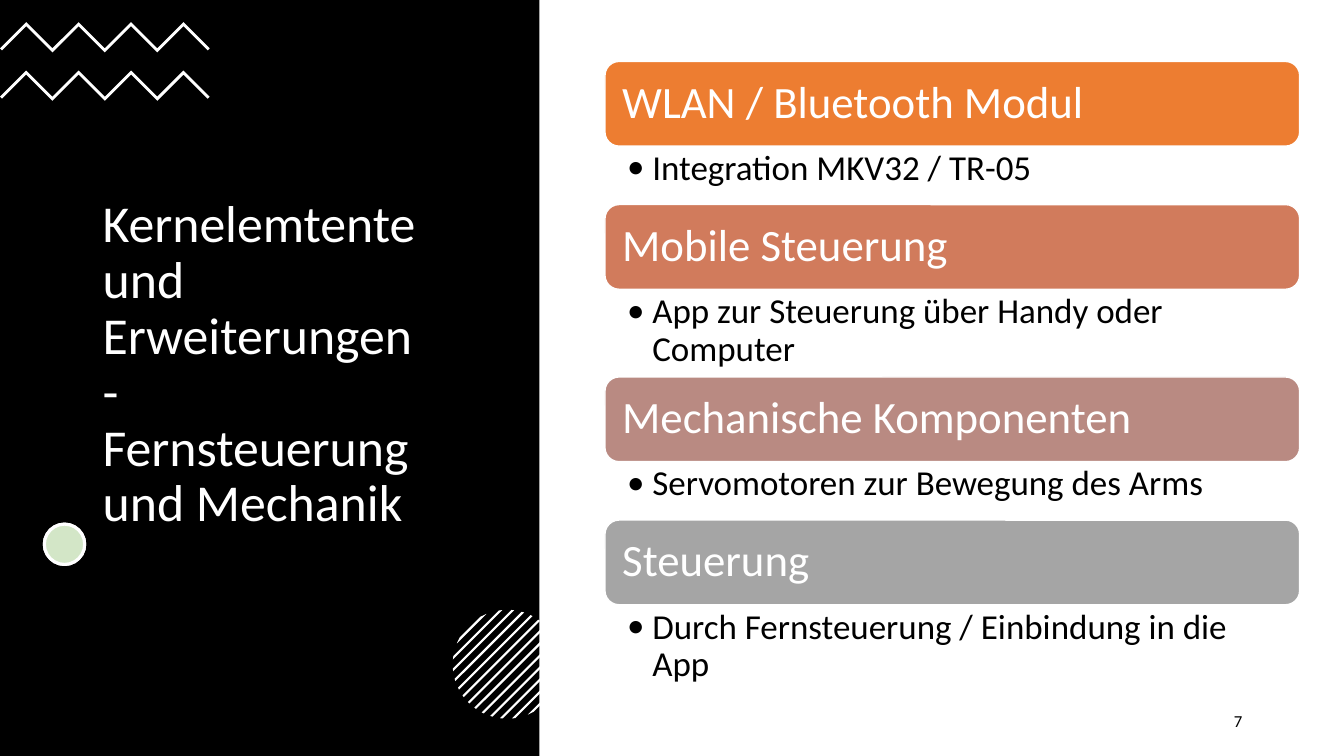
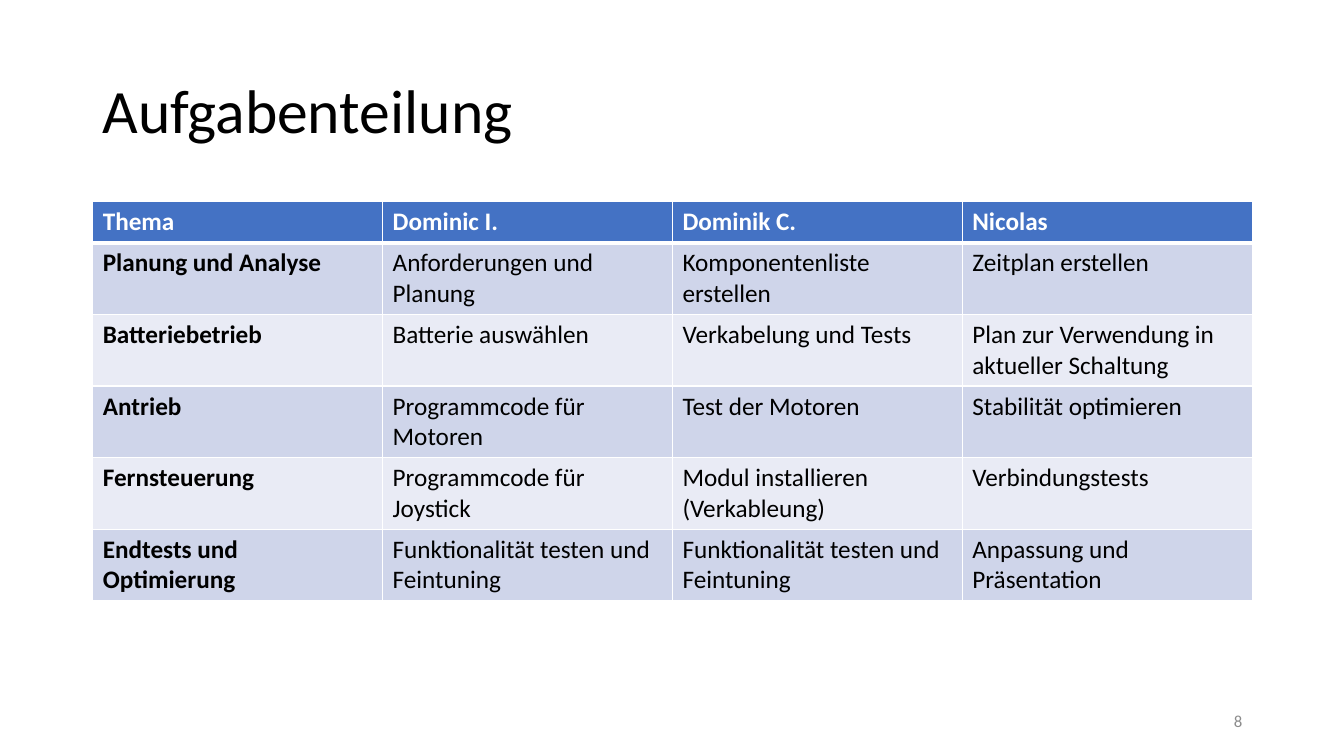
import math

import lxml.etree
import pptx
import pptx.dml.color
import pptx.enum.shapes
import pptx.enum.text
import pptx.oxml.ns
import pptx.util

Inches = pptx.util.Inches
Pt = pptx.util.Pt
qn = pptx.oxml.ns.qn
SHAPE = pptx.enum.shapes.MSO_SHAPE
ANCHOR = pptx.enum.text.MSO_ANCHOR
ALIGN = pptx.enum.text.PP_ALIGN

FONT = "Calibri"
WHITE = "FFFFFF"
BLACK = "000000"
GRAY = "8C8C8C"
GREEN = "70AD47"
HEADER_BLUE = "4472C4"
BAND_COLORS = ("CFD5EA", "E9EBF5")
DEFAULT_INSETS = (0.1, 0.05, 0.1, 0.05)

TOPICS = [
    ("WLAN / Bluetooth Modul", "Integration MKV32 / TR-05", "ED7D31", 0.58),
    ("Mobile Steuerung", "App zur Steuerung über Handy oder Computer", "D17B5C", 0.87),
    ("Mechanische Komponenten", "Servomotoren zur Bewegung des Arms", "B98A82", 0.58),
    ("Steuerung", "Durch Fernsteuerung / Einbindung in die App", "A5A5A5", 0.87),
]

TASKS = [
    ("Thema", "Dominic I.", "Dominik C.", "Nicolas"),
    ("Planung und Analyse", "Anforderungen und Planung",
     "Komponentenliste erstellen", "Zeitplan erstellen"),
    ("Batteriebetrieb", "Batterie auswählen", "Verkabelung und Tests",
     "Plan zur Verwendung in aktueller Schaltung"),
    ("Antrieb", "Programmcode für Motoren", "Test der Motoren",
     "Stabilität optimieren"),
    ("Fernsteuerung", "Programmcode für Joystick",
     "Modul installieren (Verkableung)", "Verbindungstests"),
    ("Endtests und Optimierung", "Funktionalität testen und Feintuning",
     "Funktionalität testen und Feintuning", "Anpassung und Präsentation"),
]


def rgb(color):
    return pptx.dml.color.RGBColor.from_string(color)


def write_text(frame, text, size=18, color=BLACK, bold=False, align=ALIGN.LEFT,
               line_spacing=1.0, bullet=False):
    para = frame.paragraphs[0]
    para.alignment = align
    para.line_spacing = line_spacing
    if bullet:
        properties = para._p.get_or_add_pPr()
        properties.set("marL", str(Inches(0.25)))
        properties.set("indent", str(-Inches(0.25)))
        lxml.etree.SubElement(properties, qn("a:buFont")).set("typeface", FONT)
        lxml.etree.SubElement(properties, qn("a:buChar")).set("char", "•")
    span = para.add_run()
    span.text = text
    span.font.name = FONT
    span.font.size = Pt(size)
    span.font.bold = bold
    span.font.color.rgb = rgb(color)


def set_frame(frame, anchor, insets):
    frame.word_wrap = True
    frame.vertical_anchor = anchor
    (frame.margin_left, frame.margin_top,
     frame.margin_right, frame.margin_bottom) = map(Inches, insets)


def add_text(page, bounds, text, anchor=ANCHOR.MIDDLE, insets=DEFAULT_INSETS, **format):
    box = page.shapes.add_textbox(*map(Inches, bounds))
    set_frame(box.text_frame, anchor, insets)
    write_text(box.text_frame, text, **format)


def paint(shape, fill, line=None, line_width=1, opacity=None):
    shape.shadow.inherit = False
    shape.fill.solid()
    shape.fill.fore_color.rgb = rgb(fill)
    if opacity is not None:
        fill_color = shape._element.spPr.find(qn("a:solidFill"))[0]
        alpha = lxml.etree.SubElement(fill_color, qn("a:alpha"))
        alpha.set("val", str(opacity * 1000))
    if line:
        shape.line.color.rgb = rgb(line)
        shape.line.width = Pt(line_width)
    else:
        shape.line.fill.background()


def add_shape(page, kind, bounds, fill, **style):
    shape = page.shapes.add_shape(kind, *map(Inches, bounds))
    paint(shape, fill, **style)
    return shape


def add_polygon(shapes, points, fill):
    corners = [(Inches(x), Inches(y)) for x, y in points]
    builder = shapes.build_freeform(*corners[0])
    builder.add_line_segments(corners[1:], close=True)
    paint(builder.convert_to_shape(), fill)


def add_zigzag(page, top, step=0.26, thickness=0.04):
    upper = [(step * i, top + step * (1 - i % 2)) for i in range(9)]
    lower = [(x, y + thickness) for x, y in upper[-2:0:-1]]
    end_y = top + step + thickness / 2
    right_end = (upper[-1][0] - thickness / 2, end_y)
    left_end = (thickness / 2, end_y)
    add_polygon(page.shapes, upper + [right_end] + lower + [left_end], WHITE)


def add_striped_circle(page, center_x, center_y, radius, count=13, gap=0.12, thickness=0.03):
    def chord(offset):
        reach = math.sqrt(2 * radius ** 2 - offset ** 2)
        return [(center_x + (offset + side * reach) / 2,
                 center_y + (offset - side * reach) / 2) for side in (1, -1)]

    stripes = page.shapes.add_group_shape().shapes
    for i in range(count):
        offset = gap * (i - count // 2)
        near, far = chord(offset - thickness / 2), chord(offset + thickness / 2)
        add_polygon(stripes, near + far[::-1], WHITE)


def add_title(page, bounds, text, **format):
    add_text(page, bounds, text, line_spacing=0.9, **format)


def add_page_number(page, number, color):
    add_text(page, (9.42, 6.95, 3, 0.4), number, size=12, color=color, align=ALIGN.RIGHT)


def add_topics(page, left=6, top=0.61, width=6.89, bar_height=0.84):
    for heading, detail, color, detail_height in TOPICS:
        bar = add_shape(page, SHAPE.ROUNDED_RECTANGLE, (left, top, width, bar_height),
                        color, line=WHITE)
        set_frame(bar.text_frame, ANCHOR.MIDDLE, (0.13,) * 4)
        write_text(bar.text_frame, heading, size=32, color=WHITE, line_spacing=0.9)
        top += bar_height
        add_text(page, (left, top, width, detail_height), detail, anchor=ANCHOR.TOP,
                 insets=(0.22, 0.04, 0.25, 0.04), size=25, line_spacing=0.9, bullet=True)
        top += detail_height


def set_borders(cell, top, bottom):
    properties = cell._tc.get_or_add_tcPr()
    for side, width in (("L", 1), ("R", 1), ("T", top), ("B", bottom)):
        line = lxml.etree.SubElement(properties, qn("a:ln" + side))
        line.set("w", str(Pt(width)))
        fill = lxml.etree.SubElement(line, qn("a:solidFill"))
        lxml.etree.SubElement(fill, qn("a:srgbClr")).set("val", WHITE)


def add_task_table(page):
    frame = page.shapes.add_table(len(TASKS), len(TASKS[0]), Inches(0.92), Inches(2),
                                  Inches(11.5), Inches(3.96))
    table = frame.table
    table.horz_banding = False
    for r, entries in enumerate(TASKS):
        header = r == 0
        table.rows[r].height = Inches(0.41 if header else 0.71)
        for c, entry in enumerate(entries):
            cell = table.cell(r, c)
            set_borders(cell, top=3 if r == 1 else 1, bottom=3 if header else 1)
            cell.fill.solid()
            cell.fill.fore_color.rgb = rgb(HEADER_BLUE if header else BAND_COLORS[(r - 1) % 2])
            write_text(cell.text_frame, entry, color=WHITE if header else BLACK,
                       bold=header or c == 0)


def build_topics_page(page):
    add_shape(page, SHAPE.RECTANGLE, (0, 0, 5.35, 7.5), BLACK)
    add_title(page, (0.92, 1.31, 3.5, 4.63),
              "Kernelemtente und Erweiterungen - Fernsteuerung und Mechanik",
              size=37, color=WHITE)
    for top in (0.22, 0.7):
        add_zigzag(page, top)
    for fill, opacity in ((WHITE, None), (GREEN, 30)):
        add_shape(page, SHAPE.OVAL, (0.44, 5.2, 0.4, 0.4), fill,
                  line=WHITE, line_width=2.25, opacity=opacity)
    add_striped_circle(page, 5.03, 6.59, 0.54)
    add_page_number(page, "7", BLACK)
    add_topics(page)


def build_tasks_page(page):
    add_title(page, (0.92, 0.4, 11.5, 1.45), "Aufgabenteilung", size=44)
    add_page_number(page, "8", GRAY)
    add_task_table(page)


def main():
    deck = pptx.Presentation()
    deck.slide_width = Inches(13.33)
    deck.slide_height = Inches(7.5)
    for build in (build_topics_page, build_tasks_page):
        build(deck.slides.add_slide(deck.slide_layouts[6]))
    deck.save("out.pptx")


if __name__ == "__main__":
    main()
